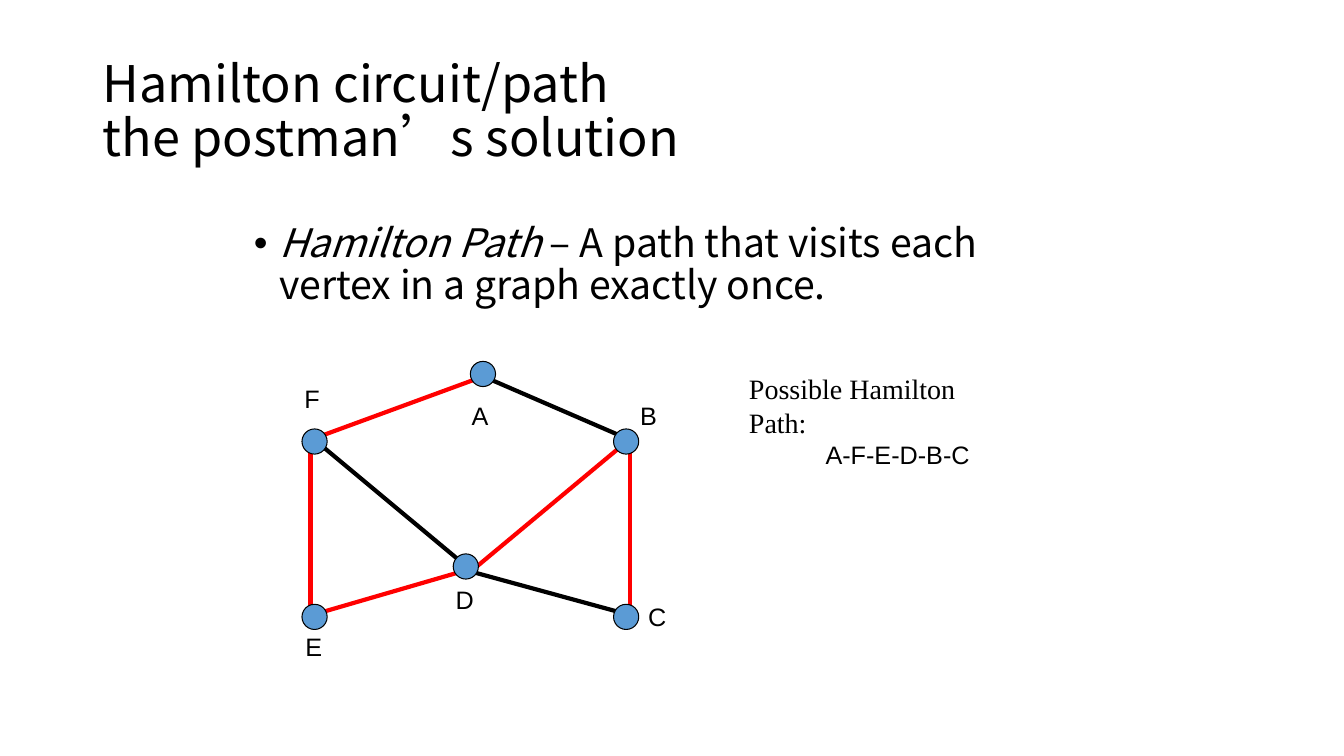
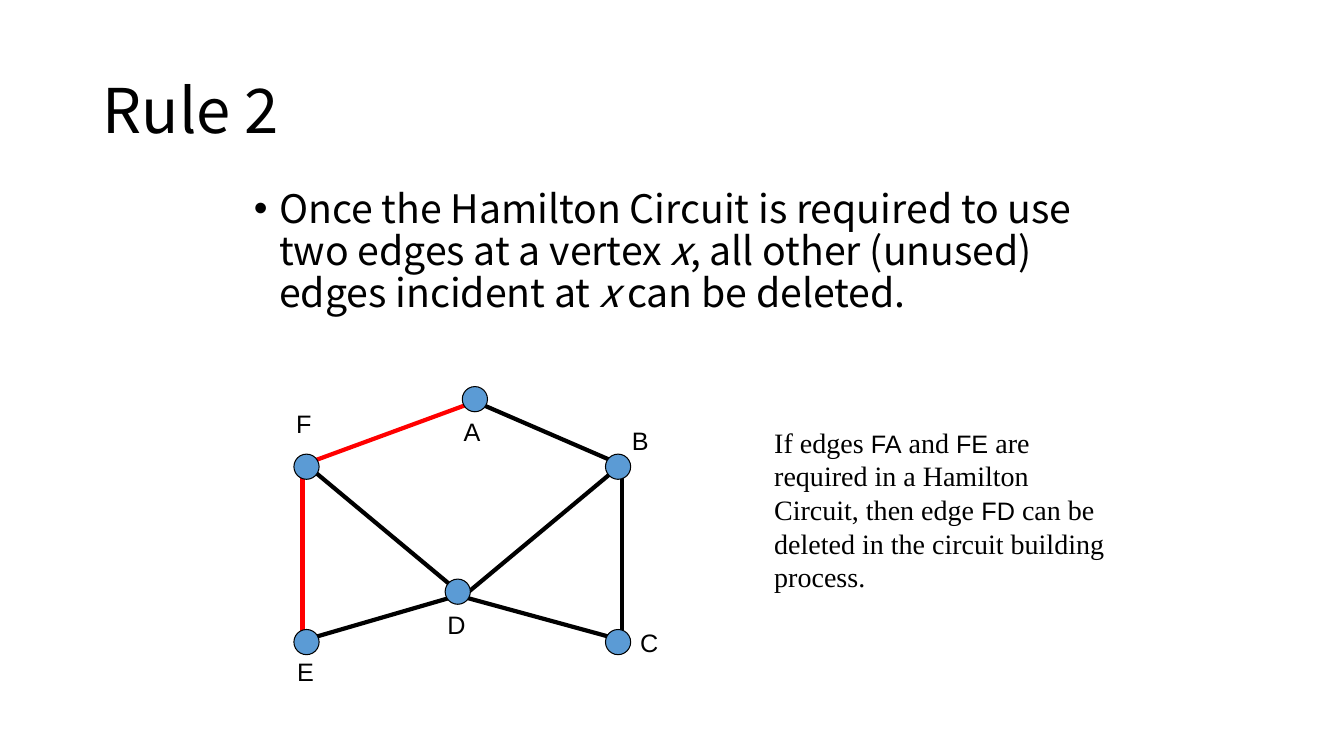
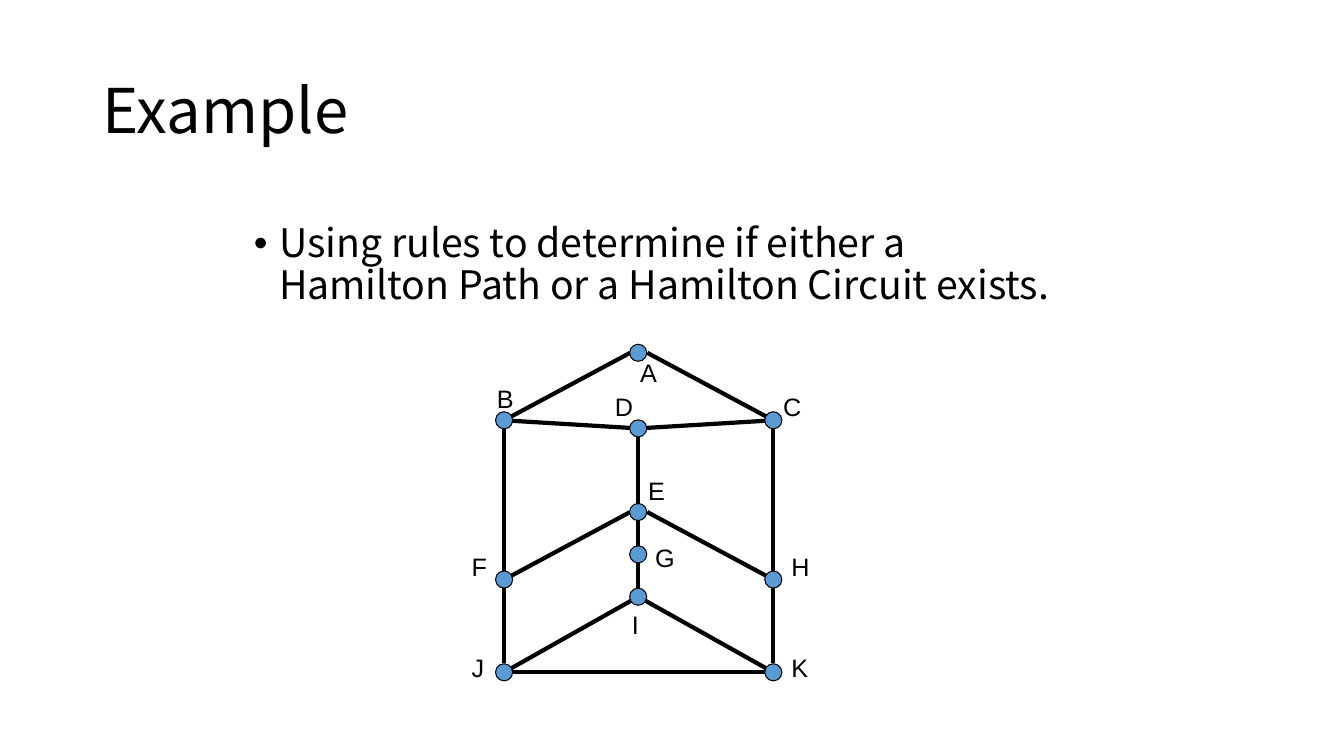
from dataclasses import dataclass
from typing import NamedTuple

from lxml.etree import SubElement
from pptx import Presentation
from pptx.dml.color import RGBColor
from pptx.enum.shapes import MSO_CONNECTOR, MSO_SHAPE
from pptx.enum.text import MSO_ANCHOR
from pptx.oxml.ns import qn
from pptx.util import Inches, Pt


@dataclass(frozen=True)
class Theme:
    ink: RGBColor = RGBColor(0x00, 0x00, 0x00)
    required: RGBColor = RGBColor(0xFF, 0x00, 0x00)
    vertex: RGBColor = RGBColor(0x5B, 0x9B, 0xD5)
    heading_font: str = "Noto Sans CJK SC"
    note_font: str = "Times New Roman"
    label_font: str = "Arial"
    title_size: float = 44
    long_title_size: float = 36
    body_size: float = 28
    note_size: float = 20
    label_size: float = 18
    edge_width: float = 3
    outline_width: float = 0.75
    line_spacing: float = 0.9


THEME = Theme()


class Vertex(NamedTuple):
    name: str
    x: float
    y: float
    label_left: float
    label_top: float


class Edge(NamedTuple):
    name: str
    x1: float
    y1: float
    x2: float
    y2: float


@dataclass(frozen=True)
class Graph:
    vertices: list[Vertex]
    edges: list[Edge]
    diameter: float


HOUSE = Graph(
    vertices=[
        Vertex("A", 4.79, 3.71, 4.58, 3.92),
        Vertex("B", 6.21, 4.38, 6.25, 3.92),
        Vertex("C", 6.21, 6.12, 6.33, 5.92),
        Vertex("D", 4.62, 5.62, 4.42, 5.75),
        Vertex("E", 3.12, 6.12, 2.93, 6.21),
        Vertex("F", 3.12, 4.38, 2.92, 3.75),
    ],
    edges=[
        Edge("FD", 3.08, 4.33, 4.58, 5.58),
        Edge("BC", 6.25, 4.42, 6.25, 6.08),
        Edge("DB", 4.67, 5.67, 6.17, 4.42),
        Edge("ED", 3.17, 6.08, 4.58, 5.67),
        Edge("FA", 3.17, 4.33, 4.75, 3.75),
        Edge("FE", 3.08, 4.42, 3.08, 6.08),
        Edge("AB", 4.83, 3.75, 6.17, 4.33),
        Edge("DC", 4.67, 5.67, 6.17, 6.08),
    ],
    diameter=0.25,
)

LEFT, MIDDLE, RIGHT = 5, 6.33, 7.67
PRISM = Graph(
    vertices=[
        Vertex("A", MIDDLE, 3.5, 6.25, 3.5),
        Vertex("B", LEFT, 4.17, 4.83, 3.75),
        Vertex("C", RIGHT, 4.17, 7.67, 3.83),
        Vertex("D", MIDDLE, 4.25, 6.0, 3.83),
        Vertex("E", MIDDLE, 5.08, 6.33, 4.67),
        Vertex("F", LEFT, 5.75, 4.58, 5.42),
        Vertex("G", MIDDLE, 5.5, 6.4, 5.33),
        Vertex("H", RIGHT, 5.75, 7.75, 5.42),
        Vertex("I", MIDDLE, 5.92, 6.17, 6.0),
        Vertex("J", LEFT, 6.67, 4.58, 6.42),
        Vertex("K", RIGHT, 6.67, 7.75, 6.42),
    ],
    edges=[
        Edge("DB", MIDDLE, 4.25, LEFT, 4.17),
        Edge("DC", MIDDLE, 4.25, RIGHT, 4.17),
        Edge("JK", LEFT, 6.67, RIGHT, 6.67),
        Edge("BA", LEFT, 4.17, 6.25, 3.5),
        Edge("CA", RIGHT, 4.17, 6.42, 3.5),
        Edge("FE", LEFT, 5.75, 6.25, 5.08),
        Edge("HE", RIGHT, 5.75, 6.42, 5.08),
        Edge("JI", LEFT, 6.67, MIDDLE, 5.92),
        Edge("KI", RIGHT, 6.67, MIDDLE, 5.92),
        Edge("DI", MIDDLE, 4.33, MIDDLE, 6),
        Edge("BJ", LEFT, 4.25, LEFT, 6.58),
        Edge("CK", RIGHT, 4.25, RIGHT, 6.58),
    ],
    diameter=0.17,
)


def shifted(graph: Graph, dx: float, dy: float, label_shifts: dict[str, float]) -> Graph:
    """Move a graph; label_shifts adds a further vertical shift to named labels."""
    return Graph(
        [Vertex(v.name, v.x + dx, v.y + dy, v.label_left + dx,
                v.label_top + dy + label_shifts.get(v.name, 0)) for v in graph.vertices],
        [Edge(e.name, e.x1 + dx, e.y1 + dy, e.x2 + dx, e.y2 + dy) for e in graph.edges],
        graph.diameter,
    )


def add_box(page, left: float, top: float, width: float, height: float,
            anchor=MSO_ANCHOR.TOP):
    box = page.shapes.add_textbox(Inches(left), Inches(top), Inches(width), Inches(height))
    frame = box.text_frame
    frame.word_wrap = True
    frame.vertical_anchor = anchor
    return frame


def add_span(para, text: str, *, font: str, size: float, italic: bool = False) -> None:
    span = para.add_run()
    span.text = text
    span.font.name = font
    span.font.size = Pt(size)
    span.font.italic = italic
    span.font.color.rgb = THEME.ink


def add_label_span(para, text: str) -> None:
    add_span(para, text, font=THEME.label_font, size=THEME.label_size)


def add_note_span(para, text: str) -> None:
    add_span(para, text, font=THEME.note_font, size=THEME.note_size)


def add_title(page, *lines: str, size: float = THEME.title_size) -> None:
    para = add_box(page, 0.92, 0.4, 11.5, 1.45, MSO_ANCHOR.MIDDLE).paragraphs[0]
    para.line_spacing = THEME.line_spacing
    for index, line in enumerate(lines):
        if index:
            para.add_line_break()
        add_span(para, line, font=THEME.heading_font, size=size)


def add_bullet(page, *parts: str, first_italic: bool = False, top: float = 2.17,
               width: float = 8.5, height: float = 1.21) -> None:
    """Write one bullet whose parts alternate between italic and upright."""
    para = add_box(page, 2.42, top, width, height).paragraphs[0]
    para.line_spacing = THEME.line_spacing
    properties = para._p.get_or_add_pPr()
    properties.set("marL", str(Inches(0.25)))
    properties.set("indent", str(-Inches(0.25)))
    SubElement(properties, qn("a:buFont")).set("typeface", THEME.label_font)
    SubElement(properties, qn("a:buChar")).set("char", "•")
    for index, part in enumerate(parts):
        add_span(para, part, font=THEME.heading_font, size=THEME.body_size,
                 italic=(index % 2 == 0) == first_italic)


def add_edge(page, edge: Edge, color: RGBColor) -> None:
    line = page.shapes.add_connector(
        MSO_CONNECTOR.STRAIGHT, Inches(edge.x1), Inches(edge.y1),
        Inches(edge.x2), Inches(edge.y2))
    line.line.color.rgb = color
    line.line.width = Pt(THEME.edge_width)
    SubElement(line._element.spPr, qn("a:effectLst"))


def add_vertex(page, vertex: Vertex, diameter: float) -> None:
    dot = page.shapes.add_shape(
        MSO_SHAPE.OVAL, Inches(vertex.x - diameter / 2), Inches(vertex.y - diameter / 2),
        Inches(diameter), Inches(diameter))
    dot.shadow.inherit = False
    dot.fill.solid()
    dot.fill.fore_color.rgb = THEME.vertex
    dot.line.color.rgb = THEME.ink
    dot.line.width = Pt(THEME.outline_width)
    label = add_box(page, vertex.label_left, vertex.label_top, 0.4, 0.4)
    add_label_span(label.paragraphs[0], vertex.name)


def add_graph(page, graph: Graph, required: tuple[str, ...] = ()) -> None:
    for edge in graph.edges:
        add_edge(page, edge, THEME.required if edge.name in required else THEME.ink)
    for vertex in graph.vertices:
        add_vertex(page, vertex, graph.diameter)


def build_path_page(page) -> None:
    add_title(page, "Hamilton circuit/path", "the postman’s solution",
              size=THEME.long_title_size)
    add_bullet(page, "Hamilton Path",
               " – A path that visits each vertex in a graph exactly once.",
               first_italic=True)
    add_graph(page, HOUSE, required=("FA", "FE", "ED", "DB", "BC"))
    note = add_box(page, 7.33, 3.64, 2.5, 1.1)
    add_note_span(note.paragraphs[0], "Possible Hamilton Path:")
    answer = note.add_paragraph()
    answer._p.get_or_add_pPr().set("marL", str(Inches(0.76)))
    add_label_span(answer, "A-F-E-D-B-C")


def build_rule_page(page) -> None:
    add_title(page, "Rule 2")
    add_bullet(page, "Once the Hamilton Circuit is required to use two edges at a vertex ",
               "x", ", all other (unused) edges incident at ", "x", " can be deleted.",
               top=1.83, height=1.75)
    add_graph(page, shifted(HOUSE, -0.08, 0.25, {"A": -0.09}), required=("FA", "FE"))
    para = add_box(page, 7.58, 4.17, 3.58, 1.77).paragraphs[0]
    for text, edge_name in (
        ("If edges ", "FA"),
        (" and ", "FE"),
        (" are required in a Hamilton Circuit, then edge ", "FD"),
    ):
        add_note_span(para, text)
        add_label_span(para, edge_name)
    add_note_span(para, " can be deleted in the circuit building process.")


def build_example_page(page) -> None:
    add_title(page, "Example")
    add_bullet(page, "Using rules to determine if either a Hamilton Path or a "
                     "Hamilton Circuit exists.", width=8.42)
    add_graph(page, PRISM)


def main() -> None:
    deck = Presentation()
    deck.slide_width = Inches(13.33)
    deck.slide_height = Inches(7.5)
    blank = deck.slide_layouts[6]
    for build in (build_path_page, build_rule_page, build_example_page):
        build(deck.slides.add_slide(blank))
    deck.save("out.pptx")


if __name__ == "__main__":
    main()
